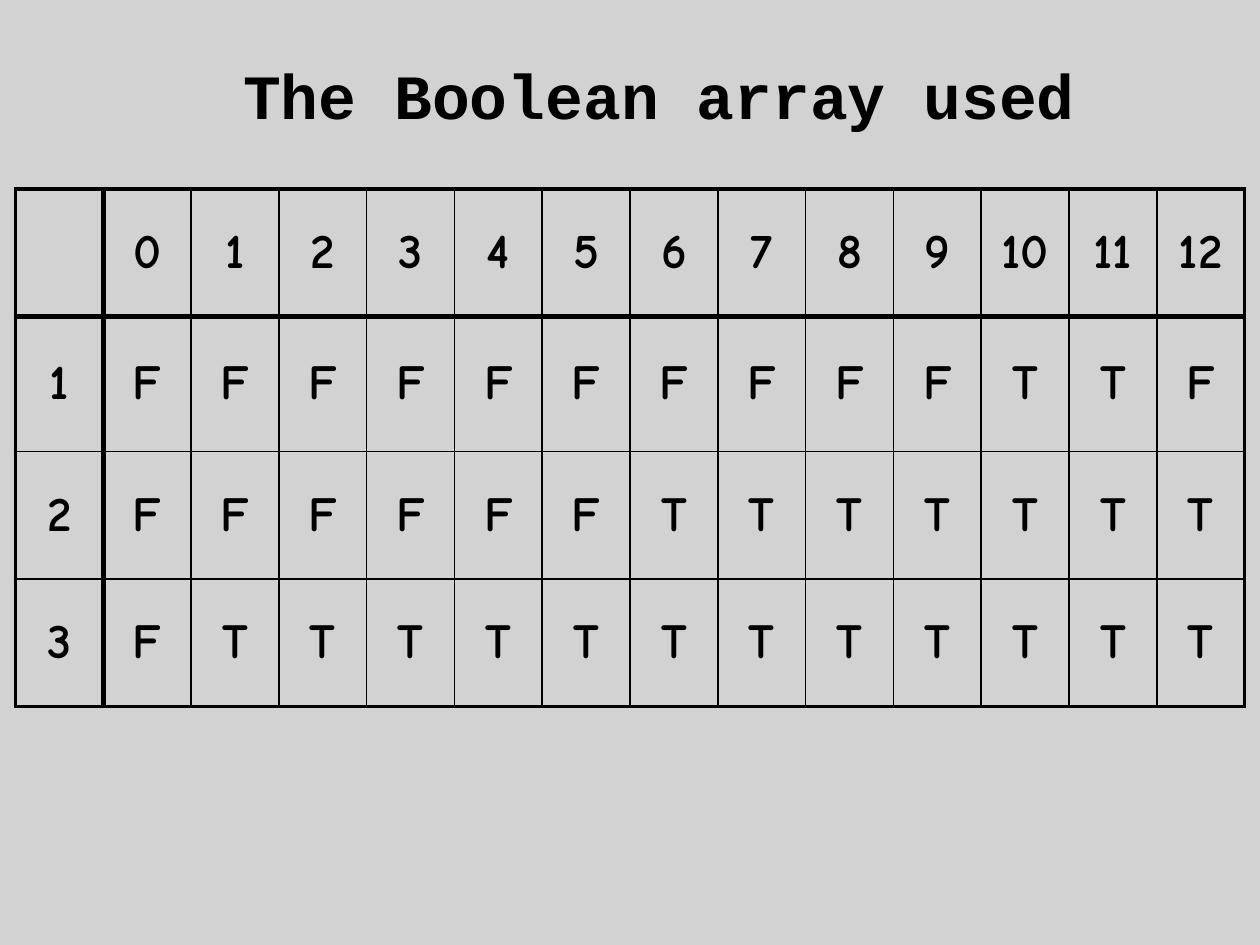
from dataclasses import dataclass

from lxml import etree
from pptx import Presentation
from pptx import util as u
from pptx.dml.color import RGBColor
from pptx.enum import shapes, text
from pptx.oxml import ns


@dataclass(frozen=True)
class Theme:
    ink: str = "000000"
    veil: str = "C0C0C0"
    veil_opacity: int = 70
    title_font: str = "Courier New"
    title_size: int = 36
    cell_font: str = "Comic Neue"
    cell_size: int = 28
    outer_line: float = 2.25
    header_line: float = 3
    inner_line: float = 1


THEME = Theme()
COLUMN_WIDTH = 1.77
ROW_HEIGHTS = [2.57, 2.72, 2.57, 2.57]
ROWS = [
    ["", *map(str, range(13))],
    ["1", *"FFFFFFFFFFTTF"],
    ["2", *"FFFFFFTTTTTTT"],
    ["3", *"FTTTTTTTTTTTT"],
]


def write(tf, content, font, size, align=text.PP_ALIGN.LEFT):
    p = tf.paragraphs[0]
    p.alignment = align
    r = p.add_run()
    r.text = content
    r.font.name = font
    r.font.size = u.Pt(size)
    r.font.bold = True
    r.font.color.rgb = RGBColor.from_string(THEME.ink)


def add_veil(s, prs):
    sp = s.shapes.add_shape(shapes.MSO_SHAPE.RECTANGLE, 0, 0,
                            prs.slide_width, prs.slide_height)
    sp.shadow.inherit = False
    sp.line.fill.background()
    sp.fill.solid()
    sp.fill.fore_color.rgb = RGBColor.from_string(THEME.veil)
    color = sp._element.spPr.find(".//" + ns.qn("a:srgbClr"))
    etree.SubElement(color, ns.qn("a:alpha"), val=str(THEME.veil_opacity * 1000))


def add_title(s, content):
    sp = s.shapes.add_textbox(u.Cm(4.65), u.Cm(1.02), u.Cm(17.45), u.Cm(1.8))
    tf = sp.text_frame
    tf.word_wrap = True
    tf.auto_size = text.MSO_AUTO_SIZE.SHAPE_TO_FIT_TEXT
    write(tf, content, THEME.title_font, THEME.title_size)


def edge_width(index, count):
    if index in (0, count):
        return THEME.outer_line
    return THEME.header_line if index == 1 else THEME.inner_line


def set_borders(cell, row, col):
    n_rows, n_cols = len(ROWS), len(ROWS[0])
    widths = {
        "L": edge_width(col, n_cols),
        "R": edge_width(col + 1, n_cols),
        "T": edge_width(row, n_rows),
        "B": edge_width(row + 1, n_rows),
    }
    props = cell._tc.get_or_add_tcPr()
    for side, width in widths.items():
        line = etree.SubElement(props, ns.qn(f"a:ln{side}"), w=str(u.Pt(width)))
        fill = etree.SubElement(line, ns.qn("a:solidFill"))
        etree.SubElement(fill, ns.qn("a:srgbClr"), val=THEME.ink)


def add_grid(s):
    n_cols = len(ROWS[0])
    frame = s.shapes.add_table(len(ROWS), n_cols, u.Cm(0.31), u.Cm(3.81),
                               u.Cm(COLUMN_WIDTH * n_cols), u.Cm(sum(ROW_HEIGHTS)))
    table = frame.table
    table.first_row = False
    table.horz_banding = False
    for column in table.columns:
        column.width = u.Cm(COLUMN_WIDTH)
    for row, (values, height) in enumerate(zip(ROWS, ROW_HEIGHTS)):
        table.rows[row].height = u.Cm(height)
        for col, value in enumerate(values):
            cell = table.cell(row, col)
            cell.vertical_anchor = text.MSO_ANCHOR.MIDDLE
            set_borders(cell, row, col)
            cell.fill.background()
            if value:
                write(cell.text_frame, value, THEME.cell_font, THEME.cell_size,
                      align=text.PP_ALIGN.CENTER)


def main():
    prs = Presentation()
    prs.slide_width, prs.slide_height = u.Cm(25.4), u.Cm(19.05)
    s = prs.slides.add_slide(prs.slide_layouts[6])
    add_veil(s, prs)
    add_grid(s)
    add_title(s, "The Boolean array used")
    prs.save("out.pptx")


if __name__ == "__main__":
    main()
